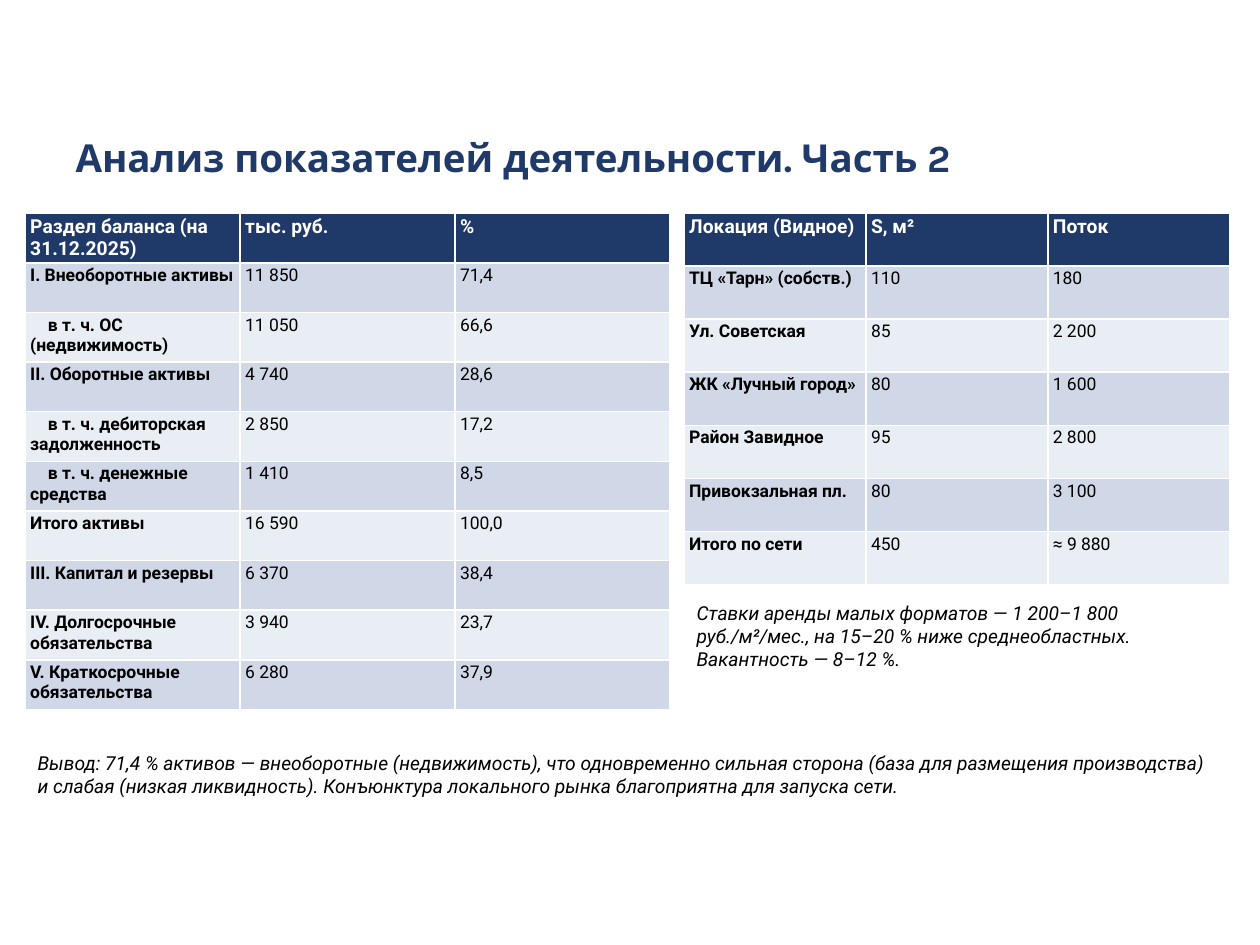
from pptx import Presentation
from pptx.dml.color import RGBColor
from pptx.enum.text import MSO_ANCHOR, MSO_AUTO_SIZE, PP_ALIGN
from pptx.util import Inches, Pt

NAVY = RGBColor(0x1F, 0x3A, 0x68)
WHITE = RGBColor(0xFF, 0xFF, 0xFF)
BLACK = RGBColor(0x00, 0x00, 0x00)
BAND_DARK = RGBColor(0xD0, 0xD8, 0xE8)
BAND_LIGHT = RGBColor(0xE9, 0xED, 0xF4)

BALANCE = [
    ("Раздел баланса (на 31.12.2025)", "тыс. руб.", "%"),
    ("I. Внеоборотные активы", "11 850", "71,4"),
    ("в т. ч. ОС (недвижимость)", "11 050", "66,6"),
    ("II. Оборотные активы", "4 740", "28,6"),
    ("в т. ч. дебиторская задолженность", "2 850", "17,2"),
    ("в т. ч. денежные средства", "1 410", "8,5"),
    ("Итого активы", "16 590", "100,0"),
    ("III. Капитал и резервы", "6 370", "38,4"),
    ("IV. Долгосрочные обязательства", "3 940", "23,7"),
    ("V. Краткосрочные обязательства", "6 280", "37,9"),
]
LOCATIONS = [
    ("Локация (Видное)", "S, м²", "Поток"),
    ("ТЦ «Тарн» (собств.)", "110", "180"),
    ("Ул. Советская", "85", "2 200"),
    ("ЖК «Лучный город»", "80", "1 600"),
    ("Район Завидное", "95", "2 800"),
    ("Привокзальная пл.", "80", "3 100"),
    ("Итого по сети", "450", "≈ 9 880"),
]
RENT_NOTE = (
    "Ставки аренды малых форматов — 1 200–1 800 руб./м²/мес., "
    "на 15–20 % ниже среднеобластных. Вакантность — 8–12 %."
)
CONCLUSION = (
    "Вывод: 71,4 % активов — внеоборотные (недвижимость), что одновременно "
    "сильная сторона (база для размещения производства) и слабая (низкая "
    "ликвидность). Конъюнктура локального рынка благоприятна для запуска сети."
)


def style_text(para, name, size, color, bold=False, italic=False):
    for span in para.runs:
        span.font.name = name
        span.font.size = Pt(size)
        span.font.color.rgb = color
        span.font.bold = bold
        span.font.italic = italic


deck = Presentation()
deck.slide_width, deck.slide_height = Inches(10), Inches(7.5)
page = deck.slides.add_slide(deck.slide_layouts[5])

# Title
title = page.shapes.title
title.left, title.top = Inches(0.5), Inches(0.85)
title.width, title.height = Inches(9), Inches(0.8)
title.text_frame.text = "Анализ показателей деятельности. Часть 2"
title.text_frame.vertical_anchor = MSO_ANCHOR.MIDDLE
heading = title.text_frame.paragraphs[0]
heading.alignment = PP_ALIGN.LEFT
style_text(heading, "Karla", 22, NAVY, bold=True)

# Balance and location tables
for rows, left, width, height in [
    (BALANCE, 0.2, 5.12, 3.94),
    (LOCATIONS, 5.43, 4.33, 2.95),
]:
    table = page.shapes.add_table(
        len(rows), 3, Inches(left), Inches(1.69), Inches(width), Inches(height)
    ).table
    table.first_col = False
    for r, row in enumerate(rows):
        for c, text in enumerate(row):
            cell = table.cell(r, c)
            cell.margin_left = cell.margin_right = Inches(0.04)
            cell.margin_top = cell.margin_bottom = Inches(0.02)
            cell.fill.solid()
            cell.text_frame.text = text
            para = cell.text_frame.paragraphs[0]
            if r == 0:
                cell.fill.fore_color.rgb = NAVY
                style_text(para, "Roboto", 11, WHITE, bold=True)
            else:
                cell.fill.fore_color.rgb = BAND_DARK if r % 2 else BAND_LIGHT
                style_text(para, "Roboto", 10, BLACK, bold=c == 0)
            # Sub-items start with a first-line indent
            if text.startswith("в т. ч."):
                properties = para._p.get_or_add_pPr()
                properties.set("marL", "0")
                properties.set("indent", str(Inches(0.14)))

# Notes under the tables
for text, left, top, width in [
    (RENT_NOTE, 5.43, 4.72, 4.33),
    (CONCLUSION, 0.2, 5.91, 9.53),
]:
    box = page.shapes.add_textbox(
        Inches(left), Inches(top), Inches(width), Inches(0.98)
    )
    box.text_frame.word_wrap = True
    box.text_frame.auto_size = MSO_AUTO_SIZE.SHAPE_TO_FIT_TEXT
    box.text_frame.text = text
    style_text(box.text_frame.paragraphs[0], "Roboto", 11, BLACK, italic=True)

deck.save("out.pptx")
